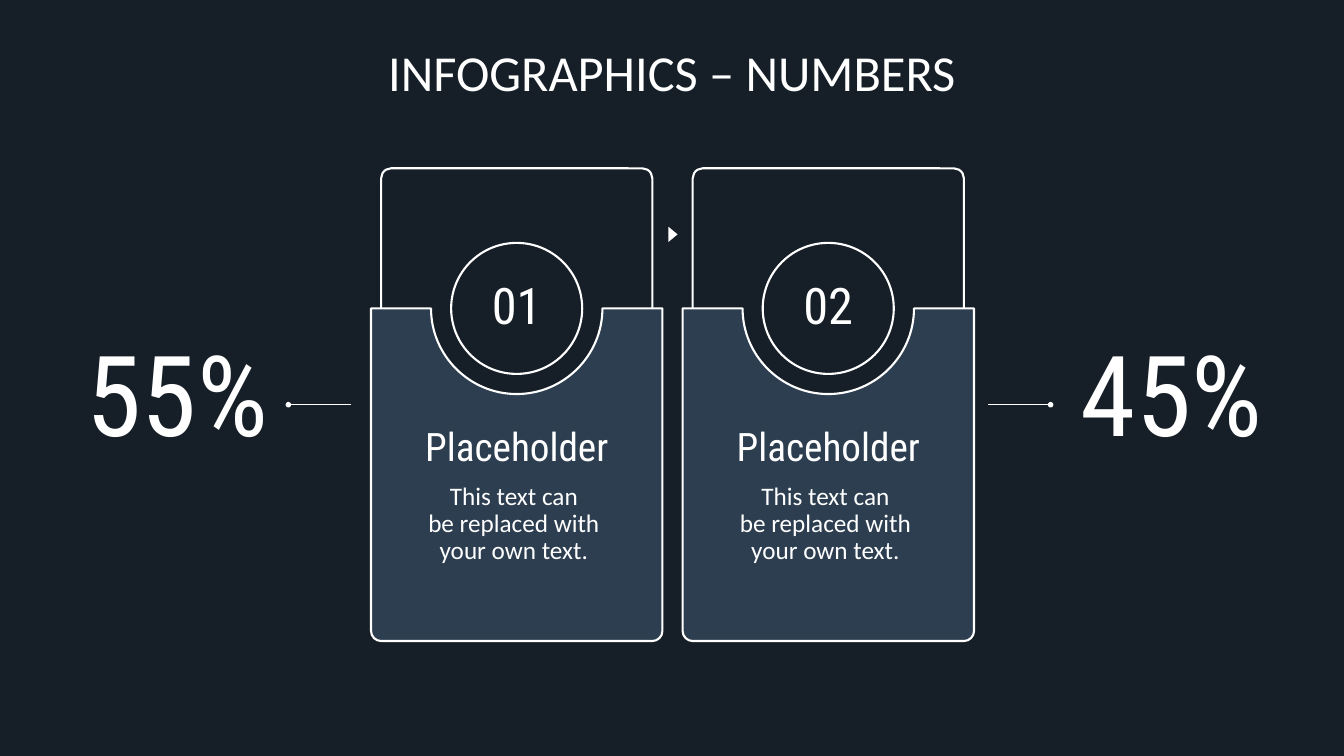
from lxml.etree import SubElement
from pptx import Presentation
from pptx.dml.color import RGBColor as RGB
from pptx.enum.shapes import MSO_CONNECTOR as LINE, MSO_SHAPE as SHAPE
from pptx.enum.text import MSO_ANCHOR as ANCHOR, PP_ALIGN as ALIGN
from pptx.oxml.ns import qn
from pptx.util import Inches, Pt

COLORS = {"back": "161F28", "card": "2C3E50", "ink": "FFFFFF"}
BODY, HEAD = "Calibri", "Roboto Condensed"
STEPS = ["01", "02"]
LINES = ["This text can ", "be replaced with ", "your own text. "]
ROUND = 0.55  # handle length of a quarter circle, per radius


def color(name):
    return RGB.from_string(COLORS[name])


def style(shape, fill=None, width=1.5):
    """Set fill and outline; None leaves either one out."""
    shape.shadow.inherit = False
    if fill:
        shape.fill.solid()
        shape.fill.fore_color.rgb = color(fill)
    else:
        shape.fill.background()
    if width:
        shape.line.color.rgb = color("ink")
        shape.line.width = Pt(width)
    else:
        shape.line.fill.background()


def set_frame(frame, insets=(0, 0, 0, 0), anchor=ANCHOR.MIDDLE):
    frame.word_wrap = True
    frame.vertical_anchor = anchor
    left, top, right, bottom = map(Inches, insets)
    frame.margin_left, frame.margin_top = left, top
    frame.margin_right, frame.margin_bottom = right, bottom
    return frame.paragraphs[0]


def write(para, lines, size, font, align=ALIGN.CENTER, spacing=0.9, after=10):
    para.alignment = align
    para.line_spacing = spacing
    para.space_after = Pt(after)
    for i, line in enumerate(lines):
        if i:
            para.add_line_break()
        run = para.add_run()
        run.text = line
        run.font.size = Pt(size)
        run.font.name = font
        run.font.color.rgb = color("ink")


def toward(start, goal, part):
    return tuple(a + (b - a) * part for a, b in zip(start, goal))


def add_curves(shapes, start, steps):
    """Closed outline; each step is (corner, end), a straight one has corner None."""
    points, here = [], start
    for corner, end in steps:
        if corner:
            points += [toward(here, corner, ROUND), toward(end, corner, ROUND), end]
        else:
            points += [here, end, end]
        here = end
    path = shapes.build_freeform(*map(Inches, start))
    path.add_line_segments([(Inches(x), Inches(y)) for x, y in points], close=True)
    shape = path.convert_to_shape()

    # Each three points become one curve
    lines = list(shape._element.iter(qn("a:lnTo")))
    for i in range(0, len(lines), 3):
        lines[i].tag = qn("a:cubicBezTo")
        for other in lines[i + 1:i + 3]:
            lines[i].append(other[0])
            other.getparent().remove(other)
    return shape


def add_title(slide, left, top, width, height):
    title = slide.shapes.title
    title.left, title.top = Inches(left), Inches(top)
    title.width, title.height = Inches(width), Inches(height)
    para = set_frame(title.text_frame, anchor=ANCHOR.TOP)
    write(para, ["INFOGRAPHICS – NUMBERS"], 36, BODY, after=0)


def add_card(slide, left, top, width, height, number):
    shapes = slide.shapes.add_group_shape().shapes
    mid, right, bottom = left + width / 2, left + width, top + height
    edge = top + 1.39  # upper edge of the pocket
    bend, notch = 0.1, 0.85

    # Frame behind the pocket
    frame = shapes.add_shape(SHAPE.ROUNDED_RECTANGLE, Inches(left + 0.1), Inches(top),
                             Inches(width - 0.2), Inches(4.2))
    frame.adjustments[0] = bend / (width - 0.2)
    style(frame)

    # Pocket with a round notch and rounded lower corners
    low = edge + notch
    pocket = add_curves(shapes, (mid + notch, edge), [
        ((mid + notch, low), (mid, low)),
        ((mid - notch, low), (mid - notch, edge)),
        (None, (left, edge)),
        (None, (left, bottom - bend)),
        ((left, bottom), (left + bend, bottom)),
        (None, (right - bend, bottom)),
        ((right, bottom), (right, bottom - bend)),
        (None, (right, edge)),
    ])
    style(pocket, "card")
    para = set_frame(pocket.text_frame, (0.1, 1.18, 0.1, 0.35), ANCHOR.TOP)
    write(para, ["Placeholder"], 28, HEAD)
    write(pocket.text_frame.add_paragraph(), LINES, 18, BODY)

    # Number badge
    size = 1.3
    badge = shapes.add_shape(SHAPE.OVAL, Inches(mid - size / 2), Inches(edge - size / 2),
                             Inches(size), Inches(size))
    style(badge)
    write(set_frame(badge.text_frame), [number], 36, HEAD)


def add_arrow(slide, left, top, width, height):
    arrow = slide.shapes.add_shape(SHAPE.ISOSCELES_TRIANGLE, Inches(left), Inches(top),
                                   Inches(width), Inches(height))
    arrow.rotation = 90
    style(arrow, "ink", None)


def add_share(slide, left, top, width, height, share, align, insets, start, end):
    shapes = slide.shapes.add_group_shape().shapes
    box = shapes.add_textbox(Inches(left), Inches(top), Inches(width), Inches(height))
    write(set_frame(box.text_frame, insets), [share], 80, HEAD, align, 0.8)

    # Leader with a dot at the number
    y = Inches(top + height / 2)
    lead = shapes.add_connector(LINE.STRAIGHT, Inches(start), y, Inches(end), y)
    lead.line.color.rgb = color("ink")
    lead.line.width = Pt(0.5)
    SubElement(lead.line._get_or_add_ln(), qn("a:tailEnd"), type="oval", w="sm", len="sm")
    SubElement(lead._element.spPr, qn("a:effectLst"))
    if end == left + width:
        lead.end_connect(box, 3)


def main():
    deck = Presentation()
    deck.slide_width, deck.slide_height = Inches(13.33), Inches(7.5)
    slide = deck.slides.add_slide(deck.slide_layouts[5])
    slide.background.fill.solid()
    slide.background.fill.fore_color.rgb = color("back")

    add_title(slide, 0.59, 0.48, 12.15, 1.18)
    for i, number in enumerate(STEPS):
        add_card(slide, 3.68 + 3.09 * i, 1.67, 2.89, 4.69, number)
    add_arrow(slide, 6.6, 2.28, 0.15, 0.09)
    add_share(slide, 0.59, 3.54, 2.27, 0.95, "55%", ALIGN.RIGHT, (0, 0, 0.2, 0), 3.48, 0.59 + 2.27)
    add_share(slide, 10.52, 3.54, 2.21, 0.95, "45%", ALIGN.LEFT, (0.2, 0, 0, 0), 9.8, 10.42)
    deck.save("out.pptx")


if __name__ == "__main__":
    main()
